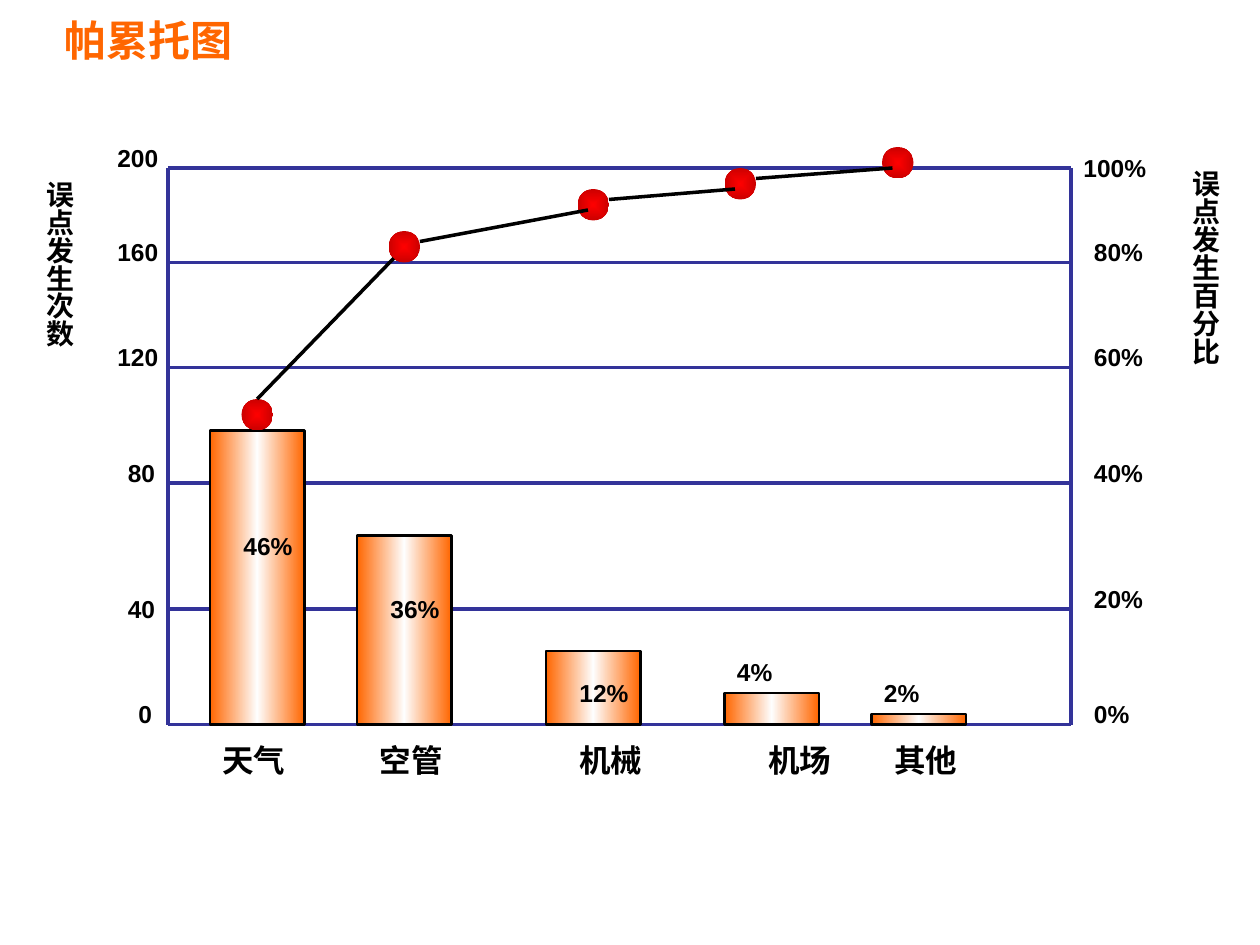
from lxml.etree import SubElement
from pptx import Presentation
from pptx.dml.color import RGBColor
from pptx.enum.shapes import MSO_CONNECTOR, MSO_SHAPE
from pptx.enum.text import MSO_ANCHOR, MSO_AUTO_SIZE, PP_ALIGN
from pptx.oxml.ns import qn
from pptx.util import Pt

ORANGE = RGBColor(0xFF, 0x66, 0x00)
PALE = RGBColor(0xFE, 0xFE, 0xFE)
NAVY = RGBColor(0x33, 0x33, 0x99)
BLACK = RGBColor(0, 0, 0)
RED = RGBColor(0xFF, 0, 0)
DARK = RGBColor(0xCB, 0, 0)

LEFT, RIGHT, TOP, BASE = 96, 612, 96, 414
BAR, DOT = 54, 18

# line y, left label, its x and y, right label, its x and y
TICKS = [
    (TOP, "200", 60, 78, "100%", 612, 84),
    (150, "160", 60, 132, "80%", 618, 132),
    (210, "120", 60, 192, "60%", 618, 192),
    (276, "80", 66, 258, "40%", 618, 258),
    (348, "40", 66, 336, "20%", 618, 330),
    (BASE, "0", 72, 396, "0%", 618, 396),
]
# name, its x, bar x, bar height, share, its x and y, dot x and y
CAUSES = [
    ("天气", 120, 120, 168, "46%", 132, 300, 138, 228),
    ("空管", 210, 204, 108, "36%", 216, 336, 222, 132),
    ("机械", 324, 312, 42, "12%", 324, 384, 330, 108),
    ("机场", 432, 414, 18, "4%", 414, 372, 414, 96),
    ("其他", 504, 498, 6, "2%", 498, 384, 504, 84),
]
CURVE = [
    (147, 228, 225, 147.6),
    (240, 138, 336, 120),
    (348, 114, 420, 108),
    (432, 102, 510, 96),
]


def add_text(slide, text, x, y, w, h, size=14, color=BLACK,
             anchor=MSO_ANCHOR.TOP, upright=False):
    box = slide.shapes.add_textbox(Pt(x), Pt(y), Pt(w), Pt(h))
    frame = box.text_frame
    frame.word_wrap = True
    frame.vertical_anchor = anchor
    para = frame.paragraphs[0]
    if upright:
        frame.auto_size = MSO_AUTO_SIZE.SHAPE_TO_FIT_TEXT
        frame.margin_left = frame.margin_right = Pt(3.6)
        frame.margin_top = frame.margin_bottom = Pt(7.2)
        frame._txBody.bodyPr.set("vert", "eaVert")
        para.alignment = PP_ALIGN.CENTER
    run = para.add_run()
    run.text = text
    font = run.font
    font.name, font.size, font.bold = "Arial", Pt(size), True
    font.color.rgb = color


def add_line(slide, x1, y1, x2, y2, color):
    line = slide.shapes.add_connector(
        MSO_CONNECTOR.STRAIGHT, Pt(x1), Pt(y1), Pt(x2), Pt(y2))
    line.line.color.rgb = color
    line.line.width = Pt(2)
    SubElement(line._element.spPr, qn("a:effectLst"))


def set_blend(shape, colors, round_mid=False):
    """Fill with evenly spaced colours, sideways or out from the middle."""
    shape.fill.gradient()
    grad = shape._element.spPr.find(qn("a:gradFill"))
    for part in list(grad):
        grad.remove(part)
    stops = SubElement(grad, qn("a:gsLst"))
    for i, color in enumerate(colors):
        pos = 100000 * i // (len(colors) - 1)
        stop = SubElement(stops, qn("a:gs"), pos=str(pos))
        SubElement(stop, qn("a:srgbClr"), val=str(color))
    if round_mid:
        way = SubElement(grad, qn("a:path"), path="rect")
        SubElement(way, qn("a:fillToRect"),
                   {side: "50000" for side in "ltrb"})
    else:
        SubElement(grad, qn("a:lin"), ang="10800000", scaled="1")


def add_bar(slide, x, h):
    bar = slide.shapes.add_shape(
        MSO_SHAPE.RECTANGLE, Pt(x), Pt(BASE - h), Pt(BAR), Pt(h))
    bar.shadow.inherit = False
    set_blend(bar, [ORANGE, PALE, ORANGE])
    bar.line.color.rgb = BLACK
    bar.line.width = Pt(1.5)


def add_dot(slide, x, y):
    dot = slide.shapes.add_shape(
        MSO_SHAPE.OVAL, Pt(x), Pt(y), Pt(DOT), Pt(DOT))
    dot.shadow.inherit = False
    set_blend(dot, [RED, DARK], round_mid=True)
    dot.line.fill.background()


def add_axes(slide):
    for y, *_ in TICKS:
        add_line(slide, LEFT, y, RIGHT, y, NAVY)
    for x in (LEFT, RIGHT):
        add_line(slide, x, TOP, x, BASE, NAVY)
    for _, count, cx, cy, part, px, py in TICKS:
        add_text(slide, count, cx, cy, 42, 24)
        add_text(slide, part, px, py, 54, 24)
    add_text(slide, "误点发生次数", 14.4, 96, 33, 228, size=16, upright=True)
    add_text(slide, "误点发生百分比", 669, 90, 33, 228, size=16, upright=True)


def add_data(slide):
    for name, nx, bx, h, share, sx, sy, *_ in CAUSES:
        add_text(slide, name, nx, 420, BAR, 29, size=18)
        add_bar(slide, bx, h)
        add_text(slide, share, sx, sy, BAR, 24)
    for *_, x, y in CAUSES:
        add_dot(slide, x, y)
    for ends in CURVE:
        add_line(slide, *ends, BLACK)


def main():
    deck = Presentation()
    deck.slide_width, deck.slide_height = Pt(720), Pt(540)
    slide = deck.slides.add_slide(deck.slide_layouts[6])
    add_text(slide, "帕累托图", 30, 0, 330, 45, size=24, color=ORANGE,
             anchor=MSO_ANCHOR.MIDDLE)
    add_axes(slide)
    add_data(slide)
    deck.save("out.pptx")


if __name__ == "__main__":
    main()
